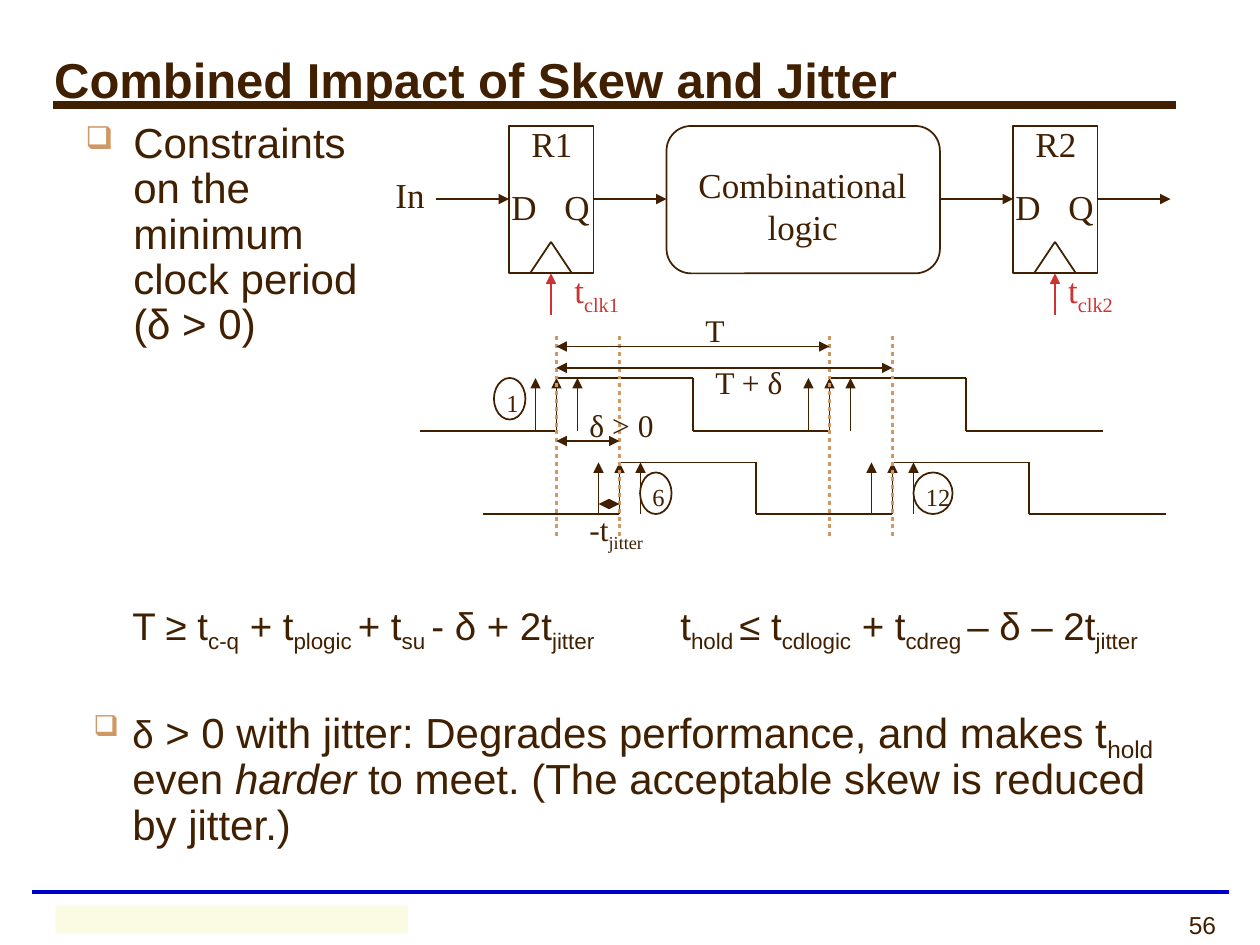
from typing import NamedTuple

from lxml import etree
from pptx import Presentation
from pptx.dml import color
from pptx.enum import dml, shapes, text
from pptx.oxml import ns
from pptx.util import Inches, Pt

COLORS = {"ink": "402000", "clock": "CD3333", "accent": "CE9964",
          "rule": "0000CC", "pale": "FBFAE2"}
SANS, SERIF = "Arial", "Times New Roman"
HALF, SKEW, JITTER = 13 / 12, 0.5, 1 / 6  # half period, skew and jitter widths
RISE = 53 / 12  # first rising edge of the first clock


class Span(NamedTuple):
    words: str
    size: float = 24
    sub: bool = False
    bold: bool = False
    italic: bool = False


class Label(NamedTuple):
    left: float
    top: float
    width: float
    words: str
    sub: str = ""
    size: float = 18
    ink: str = "ink"


class Register(NamedTuple):
    name: str
    left: float
    clock: str
    clock_left: float


class Clock(NamedTuple):
    start: float
    high: float
    low: float


class Marker(NamedTuple):
    number: str
    left: float
    top: float
    width: float
    text_width: float


def rgb(name: str) -> color.RGBColor:
    return color.RGBColor.from_string(COLORS[name])


def add_child(parent, tag: str, **attributes: str):
    return etree.SubElement(parent, ns.qn(tag), attributes)


def draw_line(page, x1: float, y1: float, x2: float, y2: float, ink: str = "ink",
              width: float = 1, head: bool = False, tail: bool = False,
              dotted: bool = False) -> None:
    line = page.shapes.add_connector(shapes.MSO_CONNECTOR.STRAIGHT,
                                     Inches(x1), Inches(y1), Inches(x2), Inches(y2))
    line.line.color.rgb = rgb(ink)
    line.line.width = Pt(width)
    if dotted:
        line.line.dash_style = dml.MSO_LINE.ROUND_DOT
    outline = line.line._get_or_add_ln()
    for wanted, tag in ((head, "a:headEnd"), (tail, "a:tailEnd")):
        if wanted:
            add_child(outline, tag, type="triangle")
    add_child(line._element.spPr, "a:effectLst")


def draw_outline(parent, kind, left: float, top: float, width: float, height: float):
    shape = parent.add_shape(kind, Inches(left), Inches(top), Inches(width), Inches(height))
    shape.shadow.inherit = False
    shape.fill.background()
    shape.line.color.rgb = rgb("ink")
    shape.line.width = Pt(1)
    return shape


def write(para, spans: list[Span], font: str, ink: str = "ink") -> None:
    for item in spans:
        span = para.add_run()
        span.text = item.words
        span.font.name, span.font.size = font, Pt(item.size)
        span.font.bold, span.font.italic = item.bold, item.italic
        span.font.color.rgb = rgb(ink)
        if item.sub:
            span._r.get_or_add_rPr().set("baseline", "-25000")


def add_box(parent, left: float, top: float, width: float, height: float, wrap: bool = True):
    box = parent.add_textbox(Inches(left), Inches(top), Inches(width), Inches(height))
    box.text_frame.word_wrap = wrap
    box.text_frame.auto_size = text.MSO_AUTO_SIZE.SHAPE_TO_FIT_TEXT
    return box.text_frame


def draw_label(page, label: Label) -> None:
    frame = add_box(page.shapes, label.left, label.top, label.width,
                    0.43 if label.size == 20 else 0.4, wrap=False)
    spans = [Span(label.words, label.size)]
    if label.sub:
        spans.append(Span(label.sub, label.size, sub=True))
    write(frame.paragraphs[0], spans, SERIF, label.ink)


def set_narrow_margins(frame, left: float = 0.07) -> None:
    frame.margin_left, frame.margin_right = Inches(left), Inches(0.07)
    frame.margin_top = frame.margin_bottom = Inches(0.03)


def write_bullet(para, spans: list[Span], indent: float) -> None:
    para.line_spacing = 0.9
    properties = para._p.get_or_add_pPr()
    properties.set("marL", str(Inches(indent)))
    properties.set("indent", str(-Inches(indent)))
    add_child(add_child(properties, "a:buClr"), "a:srgbClr", val=COLORS["accent"])
    add_child(properties, "a:buSzPct", val="75000")
    add_child(properties, "a:buChar", char="❑")
    write(para, spans, SANS)


def draw_register(page, register: Register) -> None:
    left, middle = register.left, register.left + 1 / 3
    draw_outline(page.shapes, shapes.MSO_SHAPE.RECTANGLE, left, 1, 0.67, 1.17)
    draw_line(page, middle - JITTER, 2.17, middle, 1.92)
    draw_line(page, middle, 1.92, middle + JITTER, 2.17)
    draw_line(page, middle, 2.5, middle, 2.17, "clock", tail=True)
    for label in (Label(left - 0.08, 1.42, 0.4, "D", size=20),
                  Label(left + 0.34, 1.42, 0.42, "Q", size=20),
                  Label(left + 0.08, 0.92, 0.56, register.name, size=20),
                  Label(register.clock_left, 2.08, 0.6, "t", register.clock, 20, "clock")):
        draw_label(page, label)


def draw_clock(page, clock: Clock) -> None:
    """Two periods of a square wave, with early and late edges around each rise."""
    for step in range(5):
        x = clock.start + step * HALF
        rising = step % 2 == 0
        level = clock.low if rising else clock.high
        draw_line(page, x, level, x + HALF, level)
        if step < 4:
            edge = x + HALF
            draw_line(page, edge, clock.high, edge, clock.low, head=rising)
            if rising:
                for shift in (-JITTER, JITTER):
                    draw_line(page, edge + shift, clock.low, edge + shift, clock.high, tail=True)


def draw_marker(page, marker: Marker) -> None:
    group = page.shapes.add_group_shape()
    frame = add_box(group.shapes, marker.left, marker.top + 0.03, marker.text_width, 0.33)
    write(frame.paragraphs[0], [Span(marker.number, 14)], SERIF)
    draw_outline(group.shapes, shapes.MSO_SHAPE.OVAL,
                 marker.left, marker.top, marker.width, 0.33)


def draw_frame(page) -> None:
    """Title, rules, footer bar and page number."""
    draw_line(page, 0.25, 7.08, 9.75, 7.08, "rule", 2.25)
    draw_line(page, 0.42, 0.83, 9.33, 0.83, width=4.5)
    bar = draw_outline(page.shapes, shapes.MSO_SHAPE.RECTANGLE, 0.44, 7.19, 2.8, 0.22)
    bar.fill.solid()
    bar.fill.fore_color.rgb = rgb("pale")
    bar.line.fill.background()
    number = add_box(page.shapes, 7.58, 7.17, 2.17, 0.33).paragraphs[0]
    number.alignment = text.PP_ALIGN.RIGHT
    write(number, [Span("56", 14)], SANS)
    title = page.shapes.title
    title.left, title.top, title.width, title.height = map(Inches, (0.33, 0, 9.17, 1.25))
    title.text_frame.vertical_anchor = text.MSO_ANCHOR.MIDDLE
    heading = title.text_frame.paragraphs[0]
    heading.alignment = text.PP_ALIGN.LEFT
    write(heading, [Span("Combined Impact of Skew and Jitter", 28, bold=True)], SANS)


def draw_circuit(page) -> None:
    for register in (Register("R1", 4.04, "clk1", 4.46), Register("R2", 8.04, "clk2", 8.38)):
        draw_register(page, register)
    logic = draw_outline(page.shapes, shapes.MSO_SHAPE.ROUNDED_RECTANGLE, 5.29, 1, 2.17, 1.17)
    logic.adjustments[0] = 0.167
    frame = add_box(page.shapes, 5.38, 1.25, 1.98, 0.77, wrap=False)
    for para, words in ((frame.paragraphs[0], "Combinational"), (frame.add_paragraph(), "logic")):
        para.alignment = text.PP_ALIGN.CENTER
        write(para, [Span(words, 20)], SERIF)
    for x in (3.46, 4.71, 7.46, 8.71):
        draw_line(page, x, 1.58, x + 0.58, 1.58, tail=True)
    draw_label(page, Label(3.04, 1.33, 0.43, "In", size=20))


def draw_timing(page) -> None:
    for clock in (Clock(RISE - HALF, 3, 3.42), Clock(RISE - HALF + SKEW, 3.67, 4.08)):
        draw_clock(page, clock)
    period = 2 * HALF
    for offset in (0, SKEW, period, period + SKEW):
        draw_line(page, RISE + offset, 2.67, RISE + offset, 4.25, "accent", 2.25, dotted=True)
    for start, end, y in ((0, period, 2.75), (0, period + SKEW, 2.92),
                          (0, SKEW, 3.5), (SKEW - JITTER, SKEW, 4)):
        draw_line(page, RISE + start, y, RISE + end, y, head=True, tail=True)
    for label in (Label(5.5, 2.42, 0.35, "T"), Label(5.58, 2.83, 0.76, "T + δ"),
                  Label(4.58, 3.17, 0.75, "δ > 0"), Label(4.58, 4, 0.67, "-t", "jitter")):
        draw_label(page, label)
    for marker in (Marker("1", 3.92, 3, 0.25, 0.33), Marker("6", 5.08, 3.75, 0.25, 0.33),
                   Marker("12", 7.25, 3.75, 0.31, 0.42)):
        draw_marker(page, marker)


def write_body(page) -> None:
    intro = add_box(page.shapes, 0.58, 0.92, 2.5, 1.85)
    write_bullet(intro.paragraphs[0],
                 [Span("Constraints on the minimum clock period (δ > 0)")], 0.38)

    formulas = add_box(page.shapes, 0.58, 4.75, 8.92, 0.39)
    set_narrow_margins(formulas, left=0.47)
    para = formulas.paragraphs[0]
    para.line_spacing = 0.9
    tabs = add_child(para._p.get_or_add_pPr(), "a:tabLst")
    add_child(tabs, "a:tab", pos=str(Inches(4.35)), algn="l")
    pieces = ("T ≥ t", "c-q", " + t", "plogic ", "+ t", "su ", "- δ + 2t", "jitter",
              "\tt", "hold ", "≤ t", "cdlogic", " + t", "cdreg ", "– δ – 2t", "jitter")
    write(para, [Span(words, 22, sub=index % 2 == 1) for index, words in enumerate(pieces)], SANS)

    summary = add_box(page.shapes, 0.67, 5.58, 8.92, 1.13)
    set_narrow_margins(summary)
    write_bullet(summary.paragraphs[0], [
        Span("δ", 22), Span(" > 0 with jitter: Degrades performance, and makes t"),
        Span("hold", sub=True), Span(" even "), Span("harder", italic=True),
        Span(" to meet. (The acceptable skew is reduced by jitter.)")], 0.31)


def main() -> None:
    deck = Presentation()
    deck.slide_width, deck.slide_height = Inches(10), Inches(7.5)
    page = deck.slides.add_slide(deck.slide_layouts[5])
    for draw in (draw_frame, draw_circuit, write_body, draw_timing):
        draw(page)
    deck.save("out.pptx")


if __name__ == "__main__":
    main()
